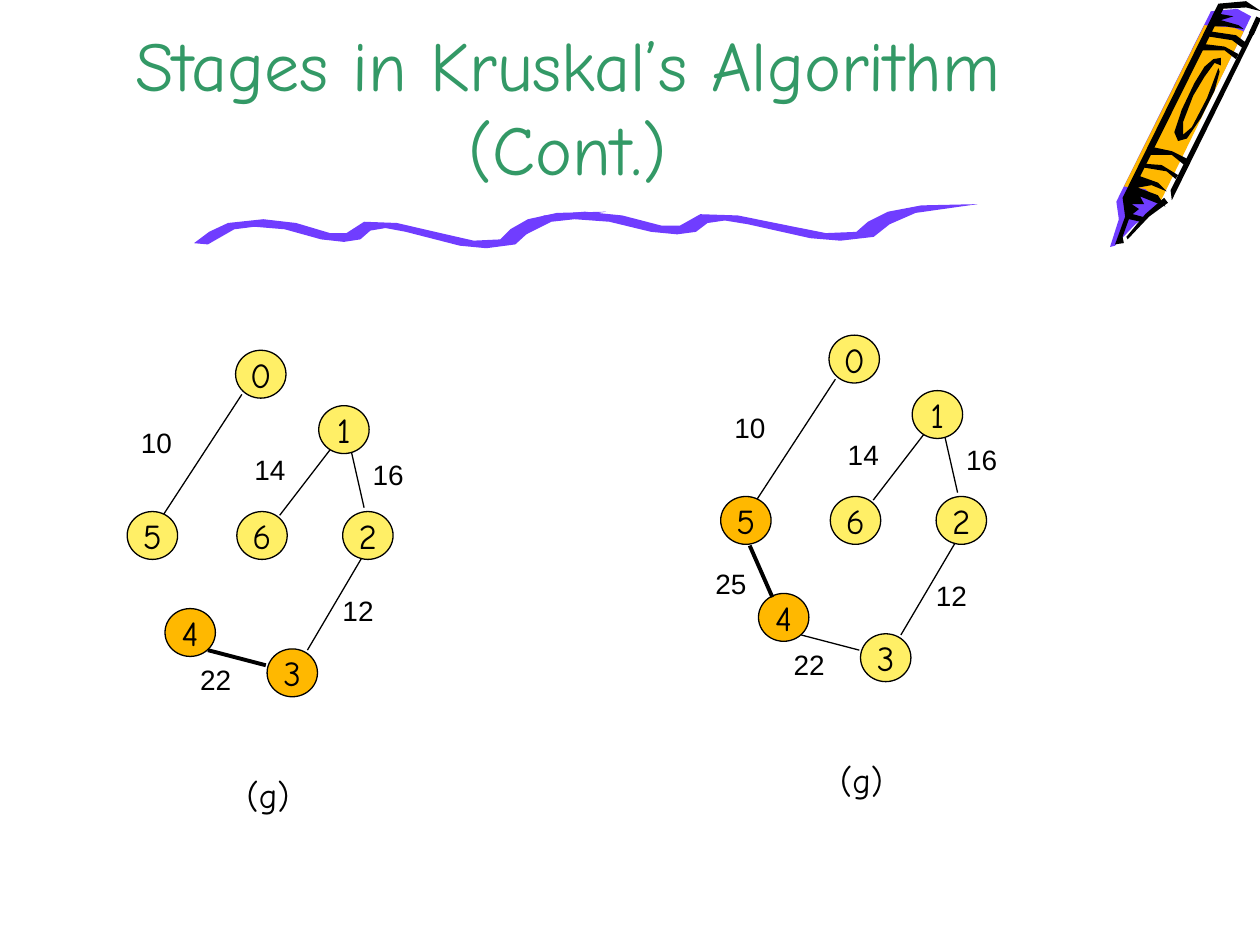
import pptx
import pptx.dml.color
import pptx.enum.shapes
import pptx.enum.text
import pptx.oxml
import pptx.util
from pptx.util import Inches

RGBColor = pptx.dml.color.RGBColor
PP_ALIGN = pptx.enum.text.PP_ALIGN
MSO_ANCHOR = pptx.enum.text.MSO_ANCHOR

GREEN = RGBColor(0x33, 0x99, 0x66)
PURPLE = RGBColor(0x70, 0x3D, 0xFF)
ORANGE = RGBColor(0xFF, 0xB8, 0x00)
YELLOW = RGBColor(0xFF, 0xEF, 0x66)
BLACK = RGBColor(0, 0, 0)
COMIC = "Comic Neue"

# Outlines in inches from the top left corner of the crayon, back to front.
CRAYON_PARTS = [
    (PURPLE, [(1.13, .13), (.37, 1.66), (.21, 1.78), (.05, 1.95), (.01, 1.96), (.08, 1.74),
              (.06, 1.6), (.81, .09), (1.02, .07)]),
    (ORANGE, [(.41, 1.6), (.29, 1.5), (.12, 1.48), (.76, .2), (.99, .22), (1.07, .25)]),
    (BLACK, [(.47, 1.61), (.32, 1.72), (.15, 1.9), (.14, 1.88), (.29, 1.7), (.44, 1.57)]),
    (BLACK, [(1.07, .23), (.93, .21), (.81, .21), (.88, .11), (.99, .13), (.89, .16),
             (1.03, .2)]),
    (BLACK, [(.88, .57), (.84, .72), (.73, .94), (.62, 1.1), (.55, 1.12), (.52, 1.05),
             (.58, .87), (.68, .66), (.76, .53), (.83, .47), (.89, .46), (.89, .52),
             (.84, .5), (.76, .61), (.67, .76), (.59, .97), (.59, 1.07), (.66, 1.01),
             (.78, .78), (.87, .54)]),
    (BLACK, [(1.17, .23), (.5, 1.59), (.49, 1.51), (1.13, .23)]),
    (BLACK, [(.45, 1.64), (.39, 1.55), (.23, 1.49), (.34, 1.47), (.46, 1.52), (.39, 1.45),
             (.25, 1.4), (.91, .07), (1.09, .06), (1.21, .09), (1.09, .01), (.87, .03),
             (.11, 1.57), (.13, 1.72), (.05, 1.94), (.12, 1.93), (.11, 1.88), (.16, 1.74),
             (.25, 1.76), (.3, 1.73), (.19, 1.7), (.24, 1.66), (.18, 1.62), (.28, 1.62),
             (.25, 1.56)]),
    (BLACK, [(.53, 1.42), (.46, 1.36), (.28, 1.33), (.29, 1.3), (.42, 1.31), (.55, 1.39)]),
    (BLACK, [(.6, 1.31), (.5, 1.23), (.33, 1.23), (.36, 1.17), (.5, 1.2), (.62, 1.26)]),
    (BLACK, [(1.01, .47), (.92, .4), (.73, .4), (.76, .35), (.92, .37), (1.03, .43)]),
    (BLACK, [(1.06, .38), (.98, .32), (.79, .29), (.81, .25), (1.01, .28), (1.09, .34)]),
]

WAVE_WIDTH = 3.27
WAVE = [(.11, .26), (.32, .14), (.48, .12), (.72, .14), (1.01, .22), (1.19, .24), (1.32, .22),
        (1.4, .15), (1.52, .13), (1.68, .16), (2.11, .27), (2.32, .29), (2.55, .26),
        (2.66, .16), (2.84, .07), (3.27, 0), (2.88, .01), (2.65, .06), (2.51, .14),
        (2.43, .22), (2.22, .23), (2, .18), (1.61, .09), (1.35, .08), (1.21, .17),
        (1.08, .17), (.81, .09), (.55, .06), (.27, .09), (.12, .16), (0, .25)]

# Offsets in inches from the top left corner of a graph.
NODE_SIZE = (.4, .38)
NODES = {"0": (.86, 0), "5": (0, 1.28), "1": (1.52, .44), "6": (.87, 1.28),
         "4": (.3, 2.05), "3": (1.11, 2.37), "2": (1.71, 1.28)}
# weight: (line start, line end, label corner)
EDGES = {"10": ((.91, .35), (.29, 1.3), (.01, .55)),
         "14": ((1.61, .79), (1.21, 1.31), (.91, .76)),
         "22": ((.64, 2.38), (1.1, 2.5), (.48, 2.43)),
         "12": ((1.86, 1.65), (1.43, 2.38), (1.61, 1.88)),
         "16": ((1.78, .81), (1.88, 1.25), (1.85, .8)),
         "25": ((.23, 1.67), (.41, 2.08), (-.14, 1.79))}


def add_outline(slide, left, top, points, color):
    (x0, y0), *rest = [(Inches(left + x), Inches(top + y)) for x, y in points]
    builder = slide.shapes.build_freeform(x0, y0)
    builder.add_line_segments(rest, close=True)
    sp = builder.convert_to_shape()
    sp.shadow.inherit = False
    sp.fill.solid()
    sp.fill.fore_color.rgb = color
    sp.line.fill.background()


def add_line(slide, left, top, start, end, width):
    line = slide.shapes.add_connector(
        pptx.enum.shapes.MSO_CONNECTOR.STRAIGHT,
        Inches(left + start[0]), Inches(top + start[1]),
        Inches(left + end[0]), Inches(top + end[1]))
    line.line.color.rgb = BLACK
    line.line.width = pptx.util.Pt(width)
    line._element.spPr.append(pptx.oxml.parse_xml(
        '<a:effectLst xmlns:a="http://schemas.openxmlformats.org/drawingml/2006/main"/>'))


def write(sp, text, size, font, color=BLACK, align=PP_ALIGN.LEFT,
          anchor=MSO_ANCHOR.TOP, wrap=True):
    tf = sp.text_frame
    tf.word_wrap = wrap
    tf.vertical_anchor = anchor
    p = tf.paragraphs[0]
    p.alignment = align
    r = p.add_run()
    r.text = text
    r.font.size = pptx.util.Pt(size)
    r.font.name = font
    r.font.color.rgb = color


def add_text(slide, left, top, width, height, *args, **kwargs):
    box = slide.shapes.add_textbox(Inches(left), Inches(top), Inches(width), Inches(height))
    write(box, *args, **kwargs)


def add_crayon(slide, left, top):
    for color, points in CRAYON_PARTS:
        add_outline(slide, left, top, points, color)
    add_line(slide, left, top, (1.19, .14), (1.13, .27), 3)


def add_wave(slide, left, top, width):
    stretch = width / WAVE_WIDTH
    add_outline(slide, left, top, [(x * stretch, y) for x, y in WAVE], PURPLE)


def add_node(slide, left, top, name, color):
    node = slide.shapes.add_shape(
        pptx.enum.shapes.MSO_SHAPE.OVAL, Inches(left), Inches(top),
        *[Inches(side) for side in NODE_SIZE])
    node.shadow.inherit = False
    node.fill.solid()
    node.fill.fore_color.rgb = color
    node.line.color.rgb = BLACK
    node.line.width = pptx.util.Pt(.75)
    write(node, name, 20, COMIC, align=PP_ALIGN.CENTER, anchor=MSO_ANCHOR.MIDDLE, wrap=False)


def add_graph(slide, left, top, weights, new_weight, new_nodes, caption):
    """Draw one stage, with the edge just added in bold and its ends in orange."""
    for name, (x, y) in NODES.items():
        add_node(slide, left + x, top + y, name, ORANGE if name in new_nodes else YELLOW)
    for weight in weights:
        start, end, (x, y) = EDGES[weight]
        add_line(slide, left, top, start, end, 2.25 if weight == new_weight else .75)
        add_text(slide, left + x, top + y, .54, .37, weight, 16, "Arial")
    add_text(slide, left + .85, top + 3.31, .65, .44, caption, 20, COMIC)


def main():
    prs = pptx.Presentation()
    prs.slide_width, prs.slide_height = Inches(10), Inches(7.5)
    slide = prs.slides.add_slide(prs.slide_layouts[6])
    add_crayon(slide, 8.8, 0)
    add_wave(slide, 1.54, 1.68, WAVE_WIDTH)
    add_wave(slide, 4.01, 1.62, 3.75)
    add_text(slide, .75, 0, 7.51, 1.55, "Stages in Kruskal’s Algorithm (Cont.)", 40, COMIC,
             GREEN, PP_ALIGN.CENTER, MSO_ANCHOR.BOTTOM)
    weights = ["10", "14", "22", "12", "16"]
    add_graph(slide, 1.01, 2.78, weights, "22", "43", "(g)")
    add_graph(slide, 5.72, 2.66, weights + ["25"], "25", "54", "(g)")
    prs.save("out.pptx")


if __name__ == "__main__":
    main()
